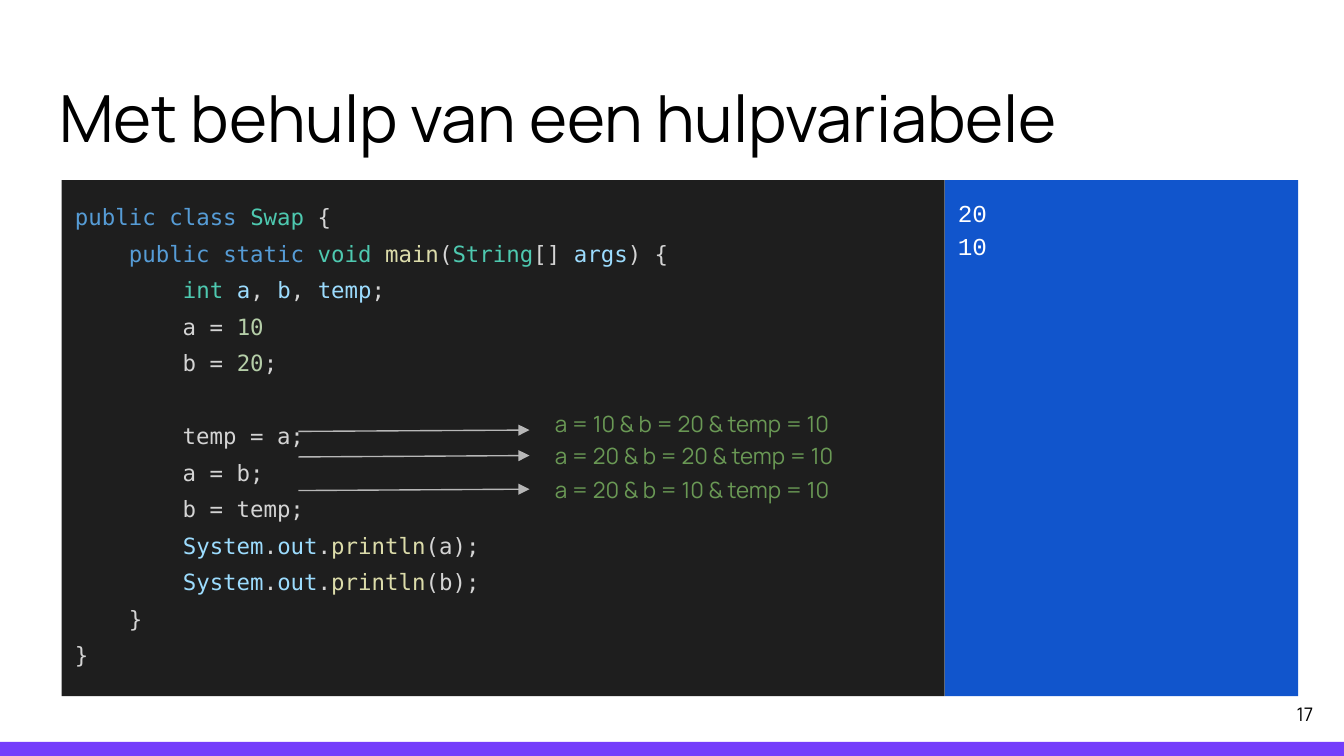
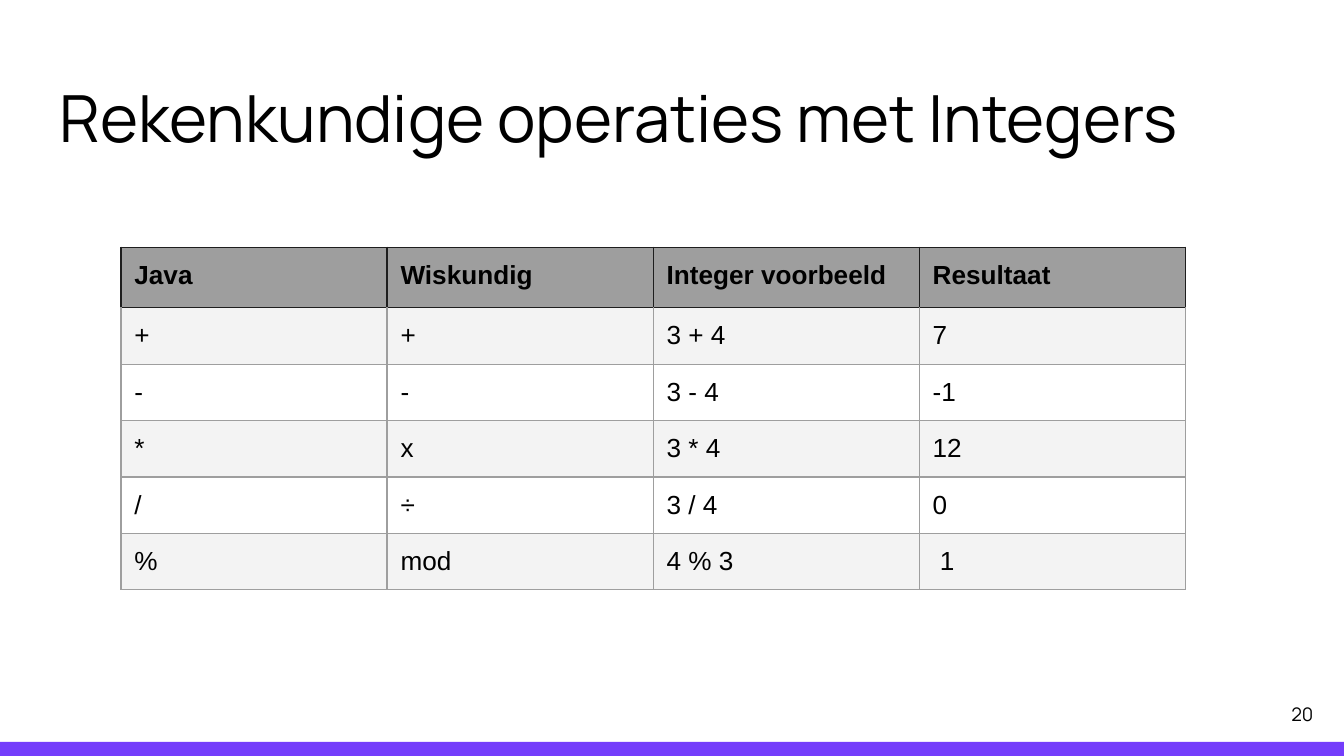
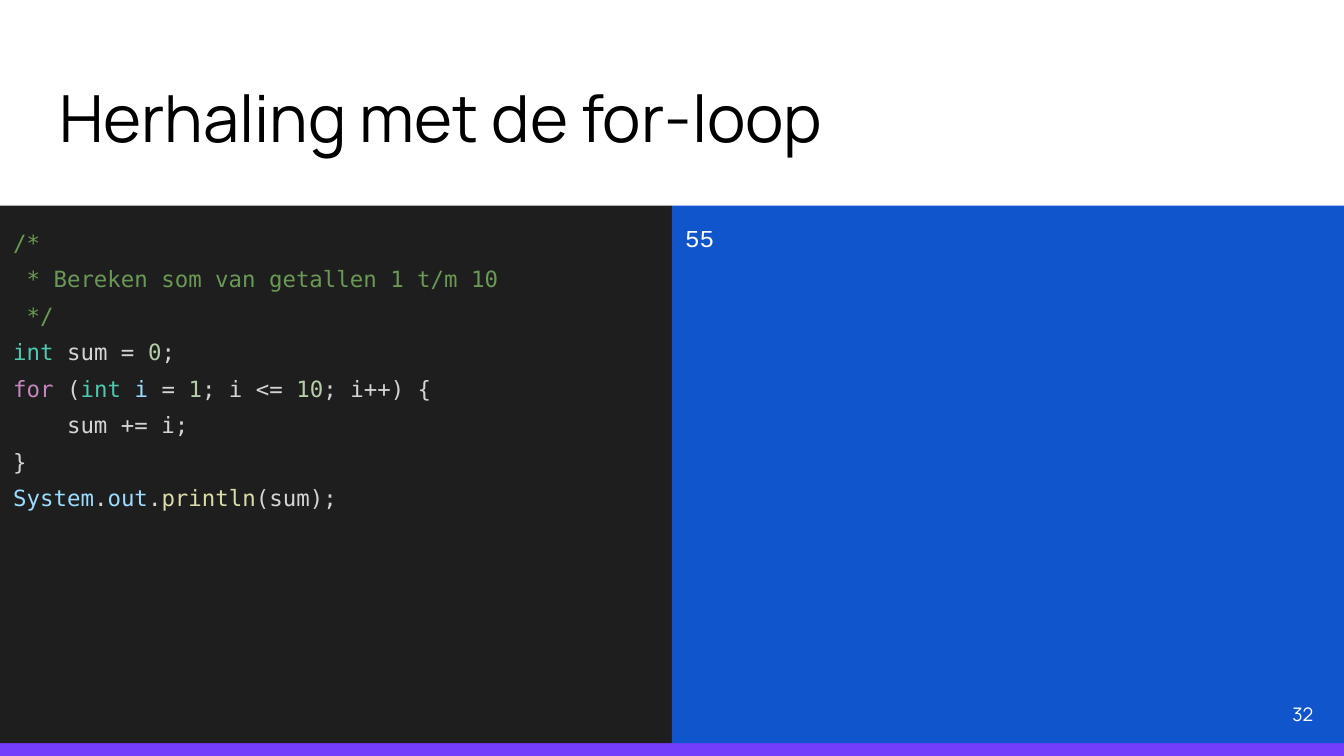
from lxml import etree
from pptx import Presentation, util as u
from pptx.dml.color import RGBColor
from pptx.enum import shapes, text
from pptx.oxml.ns import qn

COLORS = {
    "white": "FFFFFF", "black": "000000", "band": "743DFB", "editor": "1E1E1E",
    "console": "1155CC", "arrow": "B7B7B7", "header": "9E9E9E", "stripe": "F3F3F3",
    "plain": "D4D4D4", "keyword": "569CD6", "type": "4EC9B0", "method": "DCDCAA",
    "var": "9CDCFE", "number": "B5CEA8", "comment": "6A9955", "flow": "C586C0",
}
SANS, CODE, CONSOLE, TABLE = "Manrope", "DejaVu Sans Mono", "Courier New", "Arial"
WIDTH = u.Inches(10)
HEIGHT = WIDTH * 9 // 16
INSET = u.Inches(0.1)


def println(arg, indent=""):
    return [indent, ("System", "var"), ".", ("out", "var"), ".",
            ("println", "method"), f"({arg});"]


SWAP_CODE = [
    [("public", "keyword"), " ", ("class", "keyword"), " ", ("Swap", "type"), " {"],
    ["    ", ("public", "keyword"), " ", ("static", "keyword"), " ", ("void", "type"), " ",
     ("main", "method"), "(", ("String", "type"), "[] ", ("args", "var"), ") {"],
    ["        ", ("int", "type"), " ", ("a", "var"), ", ", ("b", "var"), ", ",
     ("temp", "var"), ";"],
    ["        a = ", ("10", "number")],
    ["        b = ", ("20", "number"), ";"],
    [],
    ["        temp = a;"],
    ["        a = b;"],
    ["        b = temp;"],
    println("a", "        "),
    println("b", "        "),
    ["    }"],
    ["}"],
]
LOOP_CODE = [
    [("/*", "comment")],
    [(" * Bereken som van getallen 1 t/m 10", "comment")],
    [(" */", "comment")],
    [("int", "type"), " sum = ", ("0", "number"), ";"],
    [("for", "flow"), " (", ("int", "type"), " ", ("i", "var"), " = ", ("1", "number"),
     "; i <= ", ("10", "number"), "; i++) {"],
    ["    sum += i;"],
    ["}"],
    println("sum"),
]
SWAP_STATES = [
    ("a = 10 & b = 20 & temp = 10", 2.95, 3.2),
    ("a = 20 & b = 20 & temp = 10", 3.19, 3.39),
    ("a = 20 & b = 10 & temp = 10", 3.44, 3.64),
]
OPERATIONS = [
    ("Java", "Wiskundig", "Integer voorbeeld", "Resultaat"),
    ("+", "+", "3 + 4", "7"),
    ("-", "-", "3 - 4", "-1"),
    ("*", "x", "3 * 4", "12"),
    ("/", "÷", "3 / 4", "0"),
    ("%", "mod", "4 % 3", " 1"),
]


def rgb(name):
    return RGBColor.from_string(COLORS[name])


def style(r, font, size, color, bold=False):
    r.font.name, r.font.size, r.font.bold = font, u.Pt(size), bold
    r.font.color.rgb = rgb(color)


def frame(sp, anchor=text.MSO_ANCHOR.TOP):
    tf = sp.text_frame
    tf.word_wrap = True
    tf.auto_size = text.MSO_AUTO_SIZE.NONE
    tf.vertical_anchor = anchor
    tf.margin_left = tf.margin_top = tf.margin_right = tf.margin_bottom = INSET
    return tf


def place(box):
    return [u.Inches(v) for v in box]


def rect(s, box, color):
    sp = s.shapes.add_shape(shapes.MSO_SHAPE.RECTANGLE, *place(box))
    sp.shadow.inherit = False
    sp.fill.solid()
    sp.fill.fore_color.rgb = rgb(color)
    sp.line.fill.background()
    return sp


def label(s, box, content, size, color, align=text.PP_ALIGN.LEFT,
          anchor=text.MSO_ANCHOR.TOP):
    tf = frame(s.shapes.add_textbox(*place(box)), anchor)
    p = tf.paragraphs[0]
    p.text = content
    p.alignment = align
    style(p.runs[0], SANS, size, color)


def add_slide(prs, title):
    s = prs.slides.add_slide(prs.slide_layouts[5])
    sp = s.shapes.title
    sp.left, sp.top, sp.width, sp.height = place((0.34, 0.35, 9.32, 0.91))
    tf = frame(sp, text.MSO_ANCHOR.BOTTOM)
    p = tf.paragraphs[0]
    p.text = title
    p.alignment = text.PP_ALIGN.LEFT
    style(p.runs[0], SANS, 34.8, "black")
    rect(s, (0, 5.52, 10, 0.11), "band")
    return s


def page_number(s, number, color="black"):
    label(s, (9.27, 5.1, 0.6, 0.43), str(number), 10, color,
          text.PP_ALIGN.RIGHT, text.MSO_ANCHOR.MIDDLE)


def code_panel(s, box, lines):
    tf = frame(rect(s, box, "editor"))
    for i, line in enumerate(lines):
        p = tf.add_paragraph() if i else tf.paragraphs[0]
        p.alignment = text.PP_ALIGN.LEFT
        p.line_spacing = 1.36
        for token in line:
            content, color = (token, "plain") if isinstance(token, str) else token
            r = p.add_run()
            r.text = content
            style(r, CODE, 12, color)
        if not line:
            end = etree.SubElement(p._p, qn("a:endParaRPr"), sz="1200")
            etree.SubElement(end, qn("a:latin"), typeface=CODE)


def console_panel(s, box, output):
    p = frame(rect(s, box, "console")).paragraphs[0]
    p.text = output
    p.alignment = text.PP_ALIGN.LEFT
    p.line_spacing = 1.15
    p.space_after = u.Pt(12)
    for r in p.runs:
        style(r, CONSOLE, 13, "white")


def arrow(s, x1, x2, y):
    ends = place((x1, y + 0.01, x2, y))
    sp = s.shapes.add_connector(shapes.MSO_CONNECTOR.STRAIGHT, *ends)
    sp.line.color.rgb = rgb("arrow")
    sp.line.width = u.Pt(0.75)
    etree.SubElement(sp.line._get_or_add_ln(), qn("a:tailEnd"), type="triangle")
    etree.SubElement(sp._element.spPr, qn("a:effectLst"))


def cell_borders(cell, colors):
    tcPr = cell._tc.get_or_add_tcPr()
    for side, color in zip("LRTB", colors):
        ln = etree.SubElement(tcPr, qn(f"a:ln{side}"), w=str(u.Pt(0.75)))
        fill = etree.SubElement(ln, qn("a:solidFill"))
        etree.SubElement(fill, qn("a:srgbClr"), val=COLORS[color])


def operations_table(s, rows):
    box = place((0.9, 1.84, 7.92, 2.55))
    table = s.shapes.add_table(len(rows), len(rows[0]), *box).table
    table.first_row = table.horz_banding = False
    for col in table.columns:
        col.width = u.Inches(1.98)
    for i, values in enumerate(rows):
        table.rows[i].height = u.Inches(0.42 if i else 0.45)
        side = "header" if i else "editor"
        top = "editor" if i < 2 else "header"
        for j, value in enumerate(values):
            cell = table.cell(i, j)
            cell.margin_left = cell.margin_right = INSET
            cell.margin_top = cell.margin_bottom = INSET
            cell_borders(cell, (side, side, top, side))
            if i and i % 2 == 0:
                cell.fill.background()
            else:
                cell.fill.solid()
                cell.fill.fore_color.rgb = rgb("stripe" if i else "header")
            cell.text_frame.text = value
            style(cell.text_frame.paragraphs[0].runs[0], TABLE, 14, "black", i == 0)


def main():
    prs = Presentation()
    prs.slide_width, prs.slide_height = WIDTH, HEIGHT

    s = add_slide(prs, "Met behulp van een hulpvariabele")
    code_panel(s, (0.46, 1.34, 6.57, 3.84), SWAP_CODE)
    console_panel(s, (7.03, 1.34, 2.63, 3.84), "20\n10")
    for state, top, arrow_y in SWAP_STATES:
        label(s, (4.03, top, 3.07, 0.4), state, 12, "comment")
        arrow(s, 2.22, 3.94, arrow_y)
    page_number(s, 17)

    s = add_slide(prs, "Rekenkundige operaties met Integers")
    operations_table(s, OPERATIONS)
    page_number(s, 20)

    s = add_slide(prs, "Herhaling met de for-loop")
    code_panel(s, (0, 1.53, 5, 4), LOOP_CODE)
    console_panel(s, (5, 1.53, 5, 4), "55")
    page_number(s, 32, "white")

    prs.save("out.pptx")


if __name__ == "__main__":
    main()
